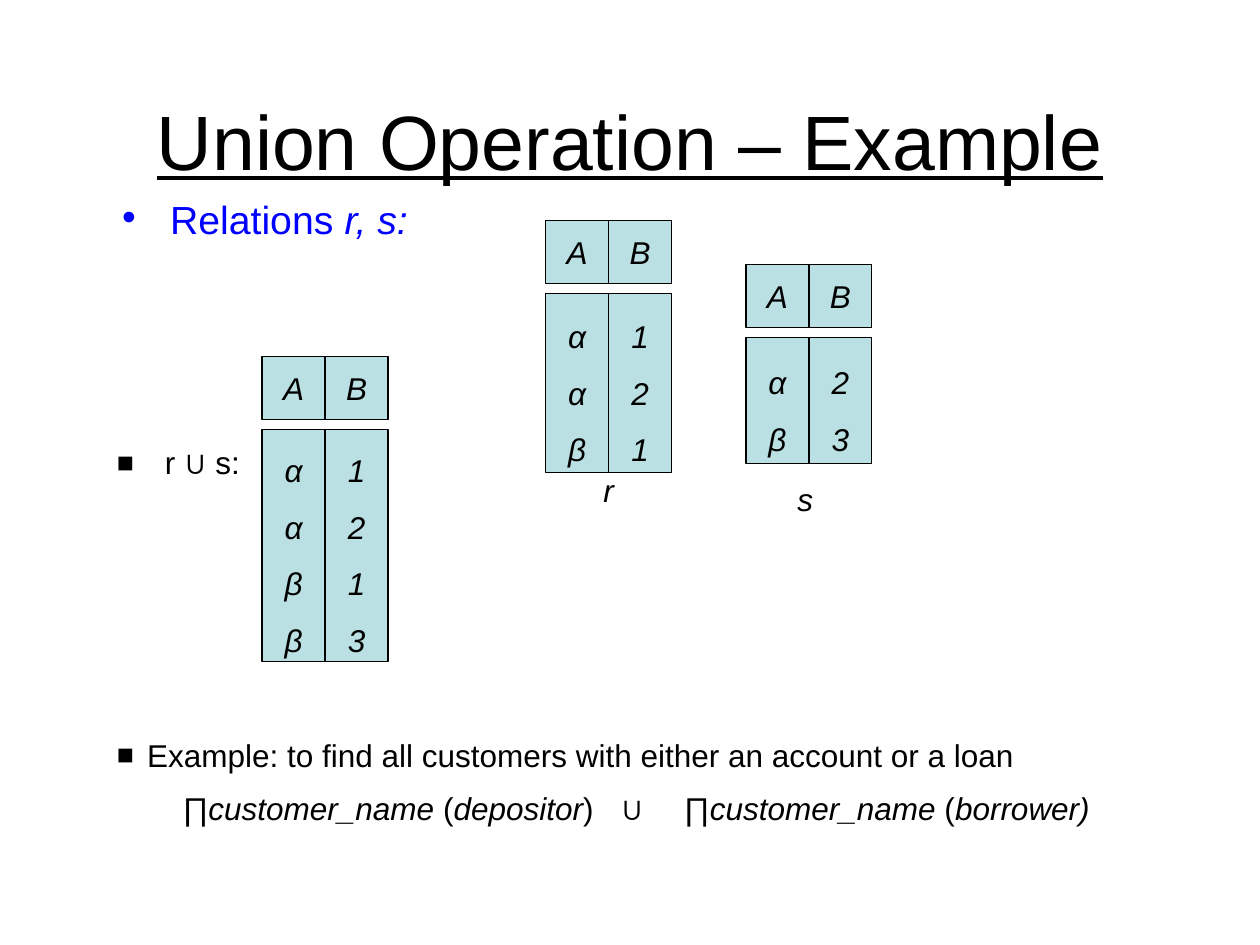
from dataclasses import dataclass

from lxml.etree import SubElement
from pptx import Presentation
from pptx.dml.color import RGBColor
from pptx.enum.shapes import MSO_SHAPE
from pptx.enum.text import MSO_ANCHOR, MSO_AUTO_SIZE, PP_ALIGN
from pptx.oxml.ns import qn
from pptx.util import Inches, Pt


@dataclass(frozen=True)
class Theme:
    """Hold the colours and type sizes of the slide."""
    font: str = "Arial"
    ink: RGBColor = RGBColor(0, 0, 0)
    accent: RGBColor = RGBColor(0, 0, 255)
    cell: RGBColor = RGBColor(0xBB, 0xE0, 0xE3)
    title_size: float = 44
    topic_size: float = 22.4
    text_size: float = 18
    line_width: float = 0.75


THEME = Theme()


def place(shape, box):
    """Move a shape to a box of left, top, width and height in inches."""
    shape.left, shape.top, shape.width, shape.height = map(Inches, box)


def style(font, size=THEME.text_size, color=THEME.ink, italic=None):
    """Apply the theme font to a run or paragraph font."""
    font.name = THEME.font
    font.size = Pt(size)
    font.color.rgb = color
    font.italic = italic


def add_runs(paragraph, pieces, **look):
    """Add pairs of wording and italic flag as styled runs."""
    for wording, italic in pieces:
        run = paragraph.add_run()
        run.text = wording
        style(run.font, italic=italic, **look)


def set_bullet(paragraph, character, color, indent, percent=100):
    """Give a paragraph a coloured bullet and a hanging indent in inches."""
    properties = paragraph._p.get_or_add_pPr()
    properties.set("marL", str(Inches(indent)))
    properties.set("indent", str(-Inches(indent)))
    bullet_color = SubElement(properties, qn("a:buClr"))
    SubElement(bullet_color, qn("a:srgbClr"), val=str(color))
    SubElement(properties, qn("a:buSzPct"), val=str(percent * 1000))
    SubElement(properties, qn("a:buFont"), typeface=THEME.font)
    SubElement(properties, qn("a:buChar"), char=character)


def set_first_line(paragraph, indent, stops):
    """Indent the first line and set left tab stops, all in inches."""
    properties = paragraph._p.get_or_add_pPr()
    properties.set("marL", "0")
    properties.set("indent", str(Inches(indent)))
    tabs = SubElement(properties, qn("a:tabLst"))
    for stop in stops:
        SubElement(tabs, qn("a:tab"), pos=str(Inches(stop)), algn="l")


def add_title(slide, box, wording):
    """Fill the title placeholder with an underlined heading."""
    title = slide.shapes.title
    place(title, box)
    frame = title.text_frame
    frame.text = wording
    frame.auto_size = MSO_AUTO_SIZE.NONE
    frame.vertical_anchor = MSO_ANCHOR.MIDDLE
    paragraph = frame.paragraphs[0]
    paragraph.alignment = PP_ALIGN.CENTER
    font = paragraph.runs[0].font
    style(font, THEME.title_size)
    font.underline = True


def add_topic(slide, box, pieces):
    """Fill the body placeholder with the bulleted topic."""
    body = slide.placeholders[1]
    place(body, box)
    body.text_frame.auto_size = MSO_AUTO_SIZE.NONE
    paragraph = body.text_frame.paragraphs[0]
    paragraph.line_spacing = 0.7
    paragraph.space_before = Pt(0)
    set_bullet(paragraph, "•", THEME.accent, 0.38)
    add_runs(paragraph, pieces, size=THEME.topic_size, color=THEME.accent)


def add_note(slide, box, wording, indent, spacing):
    """Add a text box with a square bullet and return its text frame."""
    frame = slide.shapes.add_textbox(*map(Inches, box)).text_frame
    frame.word_wrap = True
    paragraph = frame.paragraphs[0]
    paragraph.line_spacing = spacing
    set_bullet(paragraph, "■", THEME.ink, indent, 90)
    add_runs(paragraph, [(wording, None)])
    return frame


def add_example(slide, box, wording, formula):
    """Add the closing example with its formula on the next line."""
    frame = add_note(slide, box, wording, 0.24, 1.4)
    paragraph = frame.add_paragraph()
    paragraph.line_spacing = 1.4
    set_first_line(paragraph, 0.52, (3.98, 4.3))
    add_runs(paragraph, formula)


def write_centred(shape, lines, spacing=1.0):
    """Write italic lines in the middle of a shape."""
    frame = shape.text_frame
    frame.text = "\n".join(lines)
    frame.word_wrap = False
    frame.vertical_anchor = MSO_ANCHOR.MIDDLE
    for paragraph in frame.paragraphs:
        paragraph.alignment = PP_ALIGN.CENTER
        paragraph.line_spacing = spacing
        style(paragraph.runs[0].font, italic=True)


def add_cell(group, box, lines, spacing=1.0):
    """Add one filled and outlined cell to a relation."""
    cell = group.shapes.add_shape(MSO_SHAPE.RECTANGLE, *map(Inches, box))
    cell.shadow.inherit = False
    cell.fill.solid()
    cell.fill.fore_color.rgb = THEME.cell
    cell.line.color.rgb = THEME.ink
    cell.line.width = Pt(THEME.line_width)
    write_centred(cell, lines, spacing)


def add_relation(slide, box, columns, name=None, name_box=None):
    """Draw a relation as header cells above tall value cells."""
    left, top, width, height = box
    header, gap = 0.5, 0.08
    column_width = width / len(columns)
    group = slide.shapes.add_group_shape()
    for index, (attribute, values) in enumerate(columns.items()):
        x = left + index * column_width
        add_cell(group, (x, top, column_width, header), [attribute])
        values_box = (x, top + header + gap, column_width, height - header - gap)
        add_cell(group, values_box, values, 1.5)
    if name:
        label = group.shapes.add_textbox(*map(Inches, name_box))
        write_centred(label, [name])


def main():
    """Build the slide and save it."""
    presentation = Presentation()
    presentation.slide_width, presentation.slide_height = Inches(10), Inches(7.5)
    slide = presentation.slides.add_slide(presentation.slide_layouts[1])
    add_title(slide, (0.5, 0.63, 9, 0.95), "Union Operation – Example")
    add_topic(slide, (0.87, 1.6, 7.5, 0.37), [("Relations ", None), ("r, s:", True)])
    add_note(slide, (0.83, 3.5, 7.69, 0.36), "r ∪ s:", 0.38, 0.9)
    add_relation(slide, (4.33, 1.75, 1, 2), {"A": "ααβ", "B": "121"},
                 "r", (4.69, 3.69, 0.28, 0.4))
    add_relation(slide, (5.92, 2.1, 1, 1.58), {"A": "αβ", "B": "23"},
                 "s", (6.23, 3.76, 0.32, 0.4))
    add_relation(slide, (2.08, 2.83, 1, 2.42), {"A": "ααββ", "B": "1213"})
    add_example(
        slide, (0.83, 5.67, 8.25, 1.4),
        "Example: to find all customers with either an account or a loan",
        [("∏", None), ("customer_name", True), (" (", None), ("depositor", True),
         (")\t∪\t∏", None), ("customer_name", True), (" (", None), ("borrower)", True)])
    presentation.save("out.pptx")


if __name__ == "__main__":
    main()
